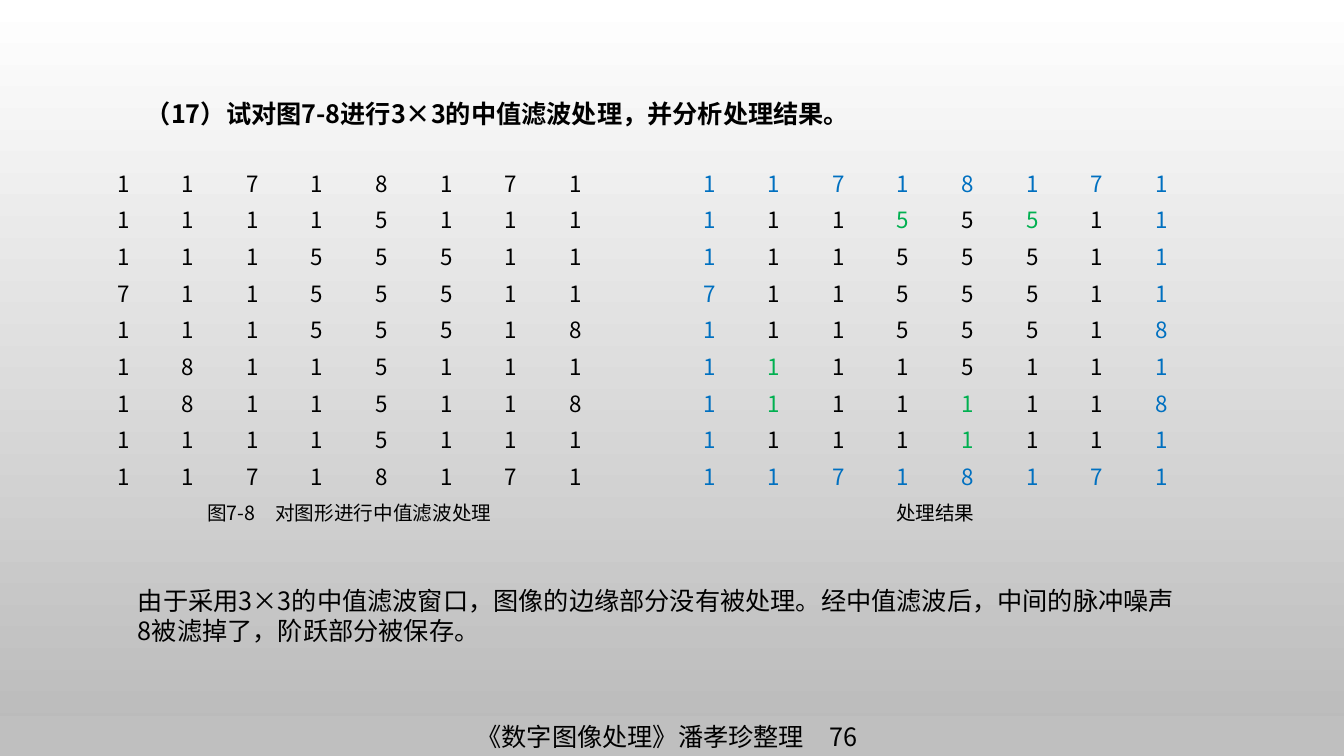
"""Build the slide on 3×3 median filtering: source grid, result grid and conclusion."""
from lxml import etree
from pptx import Presentation, util as u
from pptx.dml.color import RGBColor
from pptx.enum import shapes, text
from pptx.oxml.ns import qn

QUESTION = "（17）试对图7-8进行3×3的中值滤波处理，并分析处理结果。"
CONCLUSION = "由于采用3×3的中值滤波窗口，图像的边缘部分没有被处理。经中值滤波后，中间的脉冲噪声8被滤掉了，阶跃部分被保存。"
FOOTER = "《数字图像处理》潘孝珍整理　76"
SOURCE = ("11718171", "11115111", "11155511", "71155511", "11155518",
          "18115111", "18115118", "11115111", "11718171")
RESULT = ("11718171", "11155511", "11155511", "71155511", "11155518",
          "11115111", "11111118", "11111111", "11718171")
GRIDS = ((91, SOURCE, "图7-8　对图形进行中值滤波处理"), (677, RESULT, "处理结果"))
GRID_TOP, GRID_W, GRID_H = 164, 517, 367
BLACK, EDGE, CHANGED = "000000", "0070C0", "00B050"
FONT = "Noto Sans CJK SC"
NO_STYLE = "{2D5ABB26-0587-4C30-8999-92F81FD0307C}"


def px(n):
    return round(n * 914400 / 100.8)


def rgb(value):
    return RGBColor.from_string(value)


def write(tf, words, size=18, color=BLACK, bold=False, align=text.PP_ALIGN.LEFT):
    p = tf.paragraphs[0]
    p.alignment = align
    r = p.add_run()
    r.text = words
    r.font.size, r.font.bold, r.font.name = u.Pt(size), bold, FONT
    r.font.color.rgb = rgb(color)
    etree.SubElement(r.font._element, qn("a:ea"), typeface=FONT)


def add_text(s, box, words, **fmt):
    tf = s.shapes.add_textbox(*map(px, box)).text_frame
    tf.word_wrap = True
    write(tf, words, **fmt)


def cell_color(rows, i, j):
    if rows is SOURCE:
        return BLACK
    if i in (0, len(rows) - 1) or j in (0, len(rows[i]) - 1):
        return EDGE
    return CHANGED if rows[i][j] != SOURCE[i][j] else BLACK


def fill_cell(cell, words, size, color):
    cell.fill.background()
    cell.margin_left = cell.margin_right = px(7)
    cell.margin_top = cell.margin_bottom = 0
    cell.vertical_anchor = text.MSO_ANCHOR.MIDDLE
    write(cell.text_frame, words, size, color, align=text.PP_ALIGN.CENTER)


def add_grid(s, left, rows, caption):
    n_rows, n_cols = len(rows) + 1, len(rows[0])
    table = s.shapes.add_table(n_rows, n_cols, px(left), px(GRID_TOP),
                               px(GRID_W), px(GRID_H)).table
    table.first_row = table.horz_banding = False
    table._tbl.tblPr.find(qn("a:tableStyleId")).text = NO_STYLE
    for col in table.columns:
        col.width = px(GRID_W / n_cols)
    for row in table.rows:
        row.height = px(GRID_H / n_rows)
    for i, digits in enumerate(rows):
        for j, digit in enumerate(digits):
            fill_cell(table.cell(i, j), digit, 16, cell_color(rows, i, j))
    foot = table.cell(n_rows - 1, 0)
    foot.merge(table.cell(n_rows - 1, n_cols - 1))
    fill_cell(foot, caption, 14, BLACK)


def add_footer(s):
    sp = s.shapes.add_shape(shapes.MSO_SHAPE.RECTANGLE, 0, px(716), px(1344), px(40))
    sp.shadow.inherit = False
    sp.fill.solid()
    sp.fill.fore_color.rgb = rgb("BFBFBF")
    sp.line.fill.background()
    tf = sp.text_frame
    tf.vertical_anchor = text.MSO_ANCHOR.MIDDLE
    tf.margin_right = px(20)
    write(tf, FOOTER, align=text.PP_ALIGN.CENTER)


def main():
    prs = Presentation()
    prs.slide_width, prs.slide_height = px(1344), px(756)
    s = prs.slides.add_slide(prs.slide_layouts[6])
    fill = s.background.fill
    fill.gradient()
    fill.gradient_angle = 270
    for stop, color in zip(fill.gradient_stops, ("FFFFFF", "B9B9B9")):
        stop.color.rgb = rgb(color)
    add_footer(s)
    add_text(s, (136, 93, 1083, 40), QUESTION, bold=True)
    for grid in GRIDS:
        add_grid(s, *grid)
    add_text(s, (128, 580, 1065, 71), CONCLUSION)
    prs.save("out.pptx")


if __name__ == "__main__":
    main()
